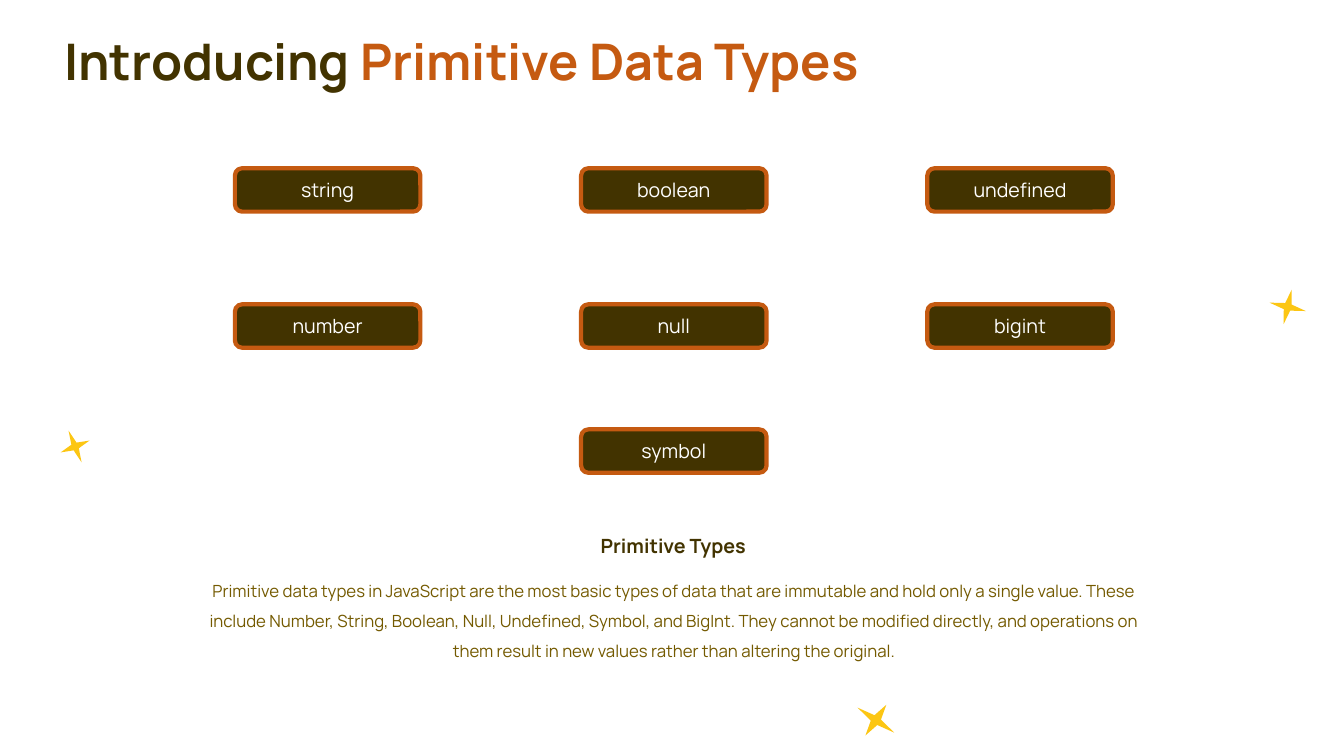
from pptx import Presentation
from pptx.dml.color import RGBColor
from pptx.enum import shapes, text
from pptx.util import Pt

FONT = "Manrope"
BROWN, ORANGE, OLIVE = "423300", "C55A11", "745A00"
YELLOW, WHITE = "FCC613", "FFFFFF"

# Grid of type labels
COLUMN_LEFT, COLUMN_STEP = 167.8, 247.3
ROW_TOPS = [120.2, 217.4, 306.7]
TYPE_ROWS = [
    ["string", "boolean", "undefined"],
    ["number", "null", "bigint"],
    [None, "symbol", None],
]

# Left, top, width, height, rotation
STARS = [
    (609.8, 501.1, 31.7, 26.6, 34.3),
    (906.5, 206.6, 26.6, 25.2, 13.1),
    (42.5, 306.7, 22.3, 24.5, 337.7),
]

EXPLANATION = (
    "Primitive data types in JavaScript are the most basic types of data that "
    "are immutable and hold only a single value. These include Number, String, "
    "Boolean, Null, Undefined, Symbol, and BigInt. They cannot be modified "
    "directly, and operations on them result in new values rather than "
    "altering the original."
)


def color(value):
    return RGBColor.from_string(value)


def style_font(font, size, value, bold=False):
    font.name = FONT
    font.size = Pt(size)
    font.bold = bold
    font.color.rgb = color(value)


def add_filled_shape(page, kind, left, top, width, height, fill):
    shape = page.shapes.add_shape(kind, Pt(left), Pt(top), Pt(width), Pt(height))
    shape.shadow.inherit = False
    shape.fill.solid()
    shape.fill.fore_color.rgb = color(fill)
    return shape


def add_star(page, left, top, width, height, rotation):
    star = add_filled_shape(page, shapes.MSO_SHAPE.STAR_4_POINT,
                            left, top, width, height, YELLOW)
    star.line.fill.background()
    star.rotation = rotation


def add_type_label(page, name, left, top):
    label = add_filled_shape(page, shapes.MSO_SHAPE.ROUNDED_RECTANGLE,
                             left, top, 132.5, 31, BROWN)
    label.line.color.rgb = color(ORANGE)
    label.line.width = Pt(3)
    frame = label.text_frame
    frame.text = name
    frame.vertical_anchor = text.MSO_ANCHOR.MIDDLE
    para = frame.paragraphs[0]
    para.alignment = text.PP_ALIGN.CENTER
    style_font(para.runs[0].font, 14, WHITE)


def add_text(page, left, top, width, height, spans, size, bold=False,
             align=text.PP_ALIGN.CENTER, spacing=None,
             anchor=text.MSO_ANCHOR.TOP, wrap=True):
    box = page.shapes.add_textbox(Pt(left), Pt(top), Pt(width), Pt(height))
    frame = box.text_frame
    frame.word_wrap = wrap
    frame.vertical_anchor = anchor
    para = frame.paragraphs[0]
    para.alignment = align
    para.line_spacing = spacing
    for words, value in spans:
        span = para.add_run()
        span.text = words
        style_font(span.font, size, value, bold)


def main():
    deck = Presentation()
    deck.slide_width, deck.slide_height = Pt(960), Pt(540)
    page = deck.slides.add_slide(deck.slide_layouts[6])

    # Decoration
    for star in STARS:
        add_star(page, *star)

    # Title
    add_text(page, 38.9, 0, 720, 68.4,
             [("Introducing ", BROWN), ("Primitive Data Types", ORANGE)],
             36, bold=True, align=text.PP_ALIGN.LEFT, spacing=Pt(50.2),
             anchor=text.MSO_ANCHOR.BOTTOM)

    # Explanation
    add_text(page, 419, 378, 123.8, 24.5, [("Primitive Types", BROWN)],
             14, bold=True, wrap=False)
    add_text(page, 134.6, 403.9, 694.1, 70.6, [(EXPLANATION, OLIVE)],
             12, spacing=1.5)

    # Type labels
    for top, names in zip(ROW_TOPS, TYPE_ROWS):
        for column, name in enumerate(names):
            if name:
                add_type_label(page, name, COLUMN_LEFT + column * COLUMN_STEP, top)

    deck.save("out.pptx")


if __name__ == "__main__":
    main()
